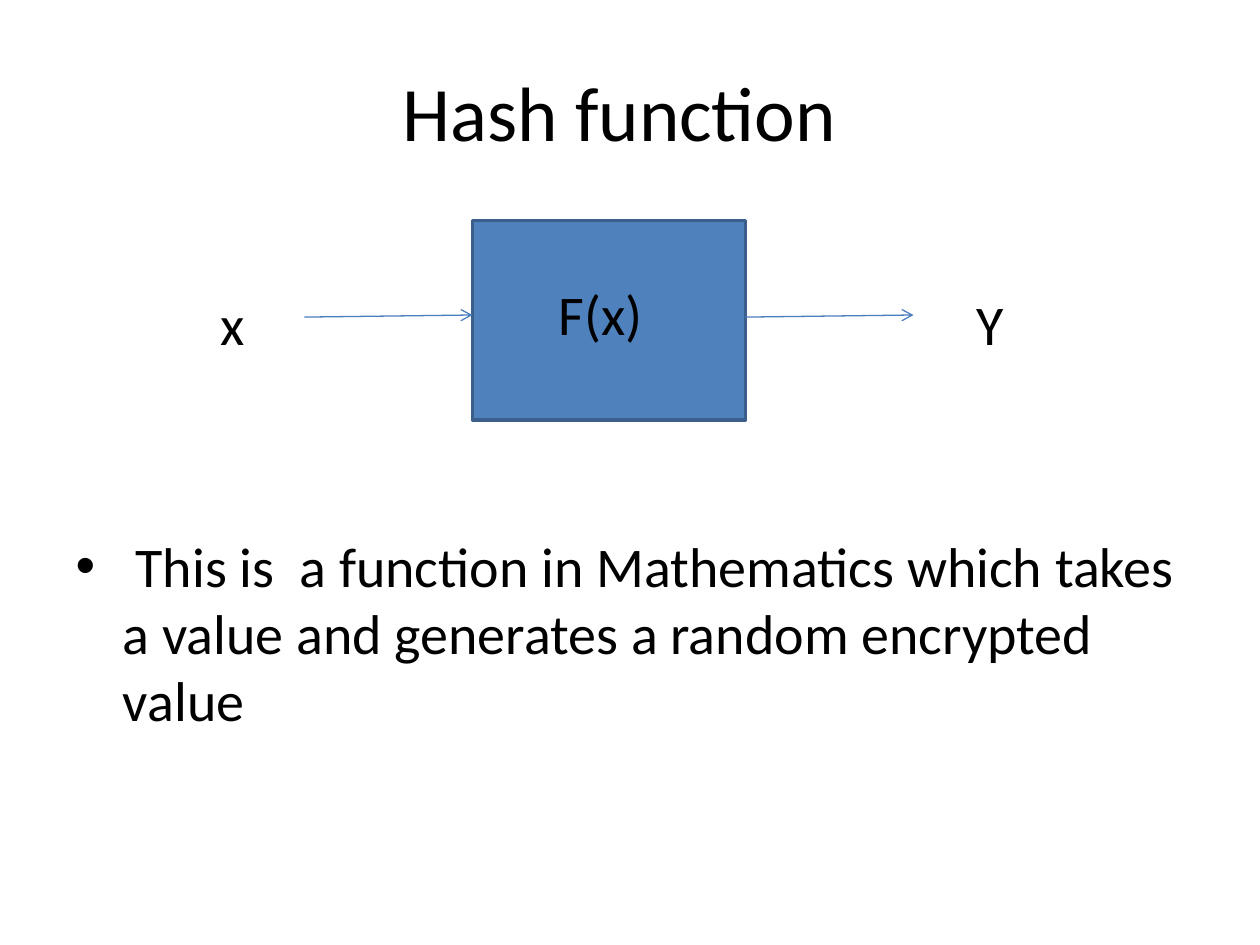
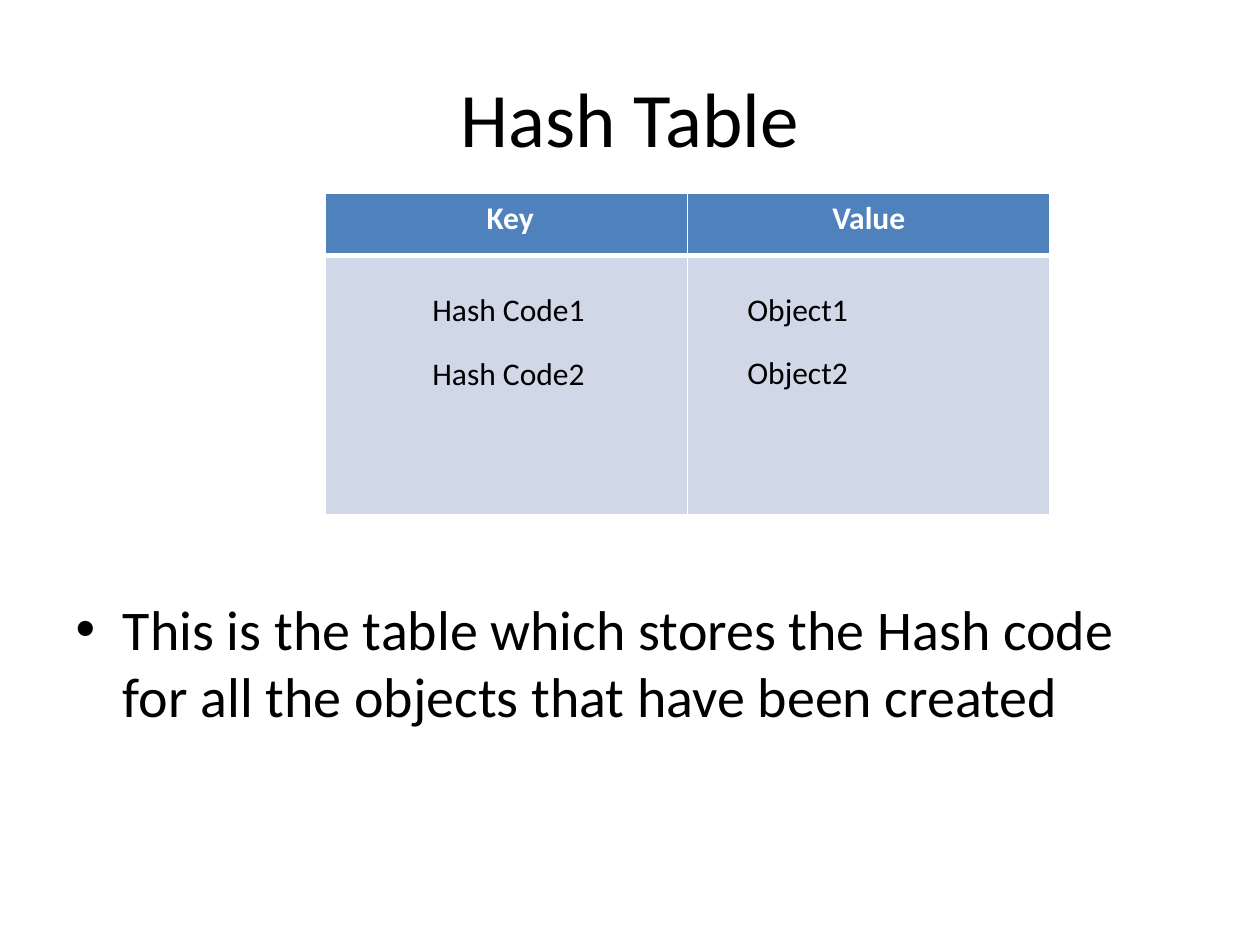
from pptx import Presentation
from pptx.dml.color import RGBColor
from pptx.enum.shapes import MSO_CONNECTOR, MSO_SHAPE
from pptx.enum.text import MSO_ANCHOR, MSO_AUTO_SIZE as AutoSize, PP_ALIGN
from pptx.oxml import parse_xml
from pptx.oxml.ns import nsdecls
from pptx.util import Pt

# Shared look
BLACK = RGBColor(0x00, 0x00, 0x00)
WHITE = RGBColor(0xFF, 0xFF, 0xFF)
BLUE = RGBColor(0x4F, 0x81, 0xBD)
BOX_EDGE = RGBColor(0x3A, 0x5F, 0x8C)
ARROW_BLUE = RGBColor(0x4B, 0x7E, 0xBC)
PALE_BLUE = RGBColor(0xD0, 0xD8, 0xE8)
TITLE_FONT = {"name": "Calibri", "size": Pt(44)}
BODY_FONT = {"name": "Calibri", "size": Pt(32)}
ENTRY_FONT = {"name": "Calibri", "size": Pt(18)}
HEADER_FONT = {**ENTRY_FONT, "bold": True}

# Content: title and bullet with their boxes (left, top, width, height)
FUNCTION_SLIDE = {
    "title": ("Hash function", (30, 18, 648, 90)),
    "bullet": (" This is  a function in Mathematics which takes a value "
               "and generates a random encrypted value ",
               (36, 300, 648, 182.25)),
}
TABLE_SLIDE = {
    "title": ("Hash Table", (36, 21.6, 648, 90)),
    "bullet": ("This is the table which stores the Hash code for all the "
               "objects that have been created", (36, 336, 648, 146.25)),
}
FUNCTION_BOX = (270, 126, 156, 114)
# label, left, top, text inset
FLOW_LABELS = [("F(x)", 312, 156, 7.2), ("x", 90, 162, 36.1), ("Y", 522, 162, 36.1)]
ARROW_STARTS = [174, 426]
ARROW_LENGTH = 96
HEADERS = [" Key", "Value"]
TABLE_BOX = (186, 110.4, 414, 184)
ROW_HEIGHTS = [35.5, 148.5]
# entries of each column: texts, left, width, height, tops
ENTRIES = [
    (["Hash Code1", "Hash Code2"], 240, 114, 29, [162, 198.6]),
    (["Object1", "Object2"], 420, 132, 30, [162, 198]),
]


def points(values):
    return [Pt(value) for value in values]


def write(frame, text, font, color=BLACK, align=None):
    paragraph = frame.paragraphs[0]
    paragraph.alignment = align
    run = paragraph.add_run()
    run.text = text
    for name, value in font.items():
        setattr(run.font, name, value)
    run.font.color.rgb = color


def add_titled_slide(content):
    slide = deck.slides.add_slide(deck.slide_layouts[1])
    parts = zip(slide.placeholders, ("title", "bullet"),
                (TITLE_FONT, BODY_FONT), (PP_ALIGN.CENTER, None))
    for holder, part, font, align in parts:
        text, box = content[part]
        for side, length in zip(("left", "top", "width", "height"), points(box)):
            setattr(holder, side, length)
        write(holder.text_frame, text, font, align=align)
    slide.shapes.title.text_frame.vertical_anchor = MSO_ANCHOR.MIDDLE
    return slide


def add_label(shapes, text, box, font, inset=7.2):
    frame = shapes.add_textbox(*points(box)).text_frame
    frame.word_wrap = True
    frame.auto_size = AutoSize.SHAPE_TO_FIT_TEXT
    frame.margin_left = Pt(inset)
    write(frame, text, font)


def add_arrow(shapes, start):
    arrow = shapes.add_connector(
        MSO_CONNECTOR.STRAIGHT, *points((start, 181.2, start + ARROW_LENGTH, 180)))
    arrow.line.color.rgb = ARROW_BLUE
    arrow.line.width = Pt(0.75)
    arrow.line._get_or_add_ln().append(
        parse_xml(f'<a:tailEnd {nsdecls("a")} type="arrow"/>'))
    arrow._element.spPr.append(parse_xml(f'<a:effectLst {nsdecls("a")}/>'))


def style_cell(cell, fill, widths):
    cell.fill.solid()
    cell.fill.fore_color.rgb = fill
    properties = cell._tc.get_or_add_tcPr()
    for index, (side, width) in enumerate(zip("LRTB", widths)):
        properties.insert(index, parse_xml(
            f'<a:ln{side} {nsdecls("a")} w="{Pt(width)}"><a:solidFill>'
            f'<a:srgbClr val="{WHITE}"/></a:solidFill></a:ln{side}>'))


deck = Presentation()
deck.slide_width, deck.slide_height = Pt(720), Pt(540)

# Slide 1: value in, function, value out
slide = add_titled_slide(FUNCTION_SLIDE)
flow = slide.shapes.add_group_shape().shapes
function_box = flow.add_shape(MSO_SHAPE.RECTANGLE, *points(FUNCTION_BOX))
function_box.shadow.inherit = False
function_box.fill.solid()
function_box.fill.fore_color.rgb = BLUE
function_box.line.color.rgb = BOX_EDGE
function_box.line.width = Pt(2)
for start in ARROW_STARTS:
    add_arrow(flow, start)
for text, left, top, inset in FLOW_LABELS:
    add_label(flow, text, (left, top, 84, 46), BODY_FONT, inset)

# Slide 2: table of keys and values
slide = add_titled_slide(TABLE_SLIDE)
table = slide.shapes.add_table(2, len(HEADERS), *points(TABLE_BOX)).table
for row, height in zip(table.rows, ROW_HEIGHTS):
    row.height = Pt(height)
for column, header in enumerate(HEADERS):
    header_cell = table.cell(0, column)
    write(header_cell.text_frame, header, HEADER_FONT, WHITE, PP_ALIGN.CENTER)
    style_cell(header_cell, BLUE, (1, 1, 1, 3))
    style_cell(table.cell(1, column), PALE_BLUE, (1, 1, 3, 1))

# Entries laid over the table
for texts, left, width, height, tops in ENTRIES:
    for text, top in zip(texts, tops):
        add_label(slide.shapes, text, (left, top, width, height), ENTRY_FONT)

deck.save("out.pptx")
